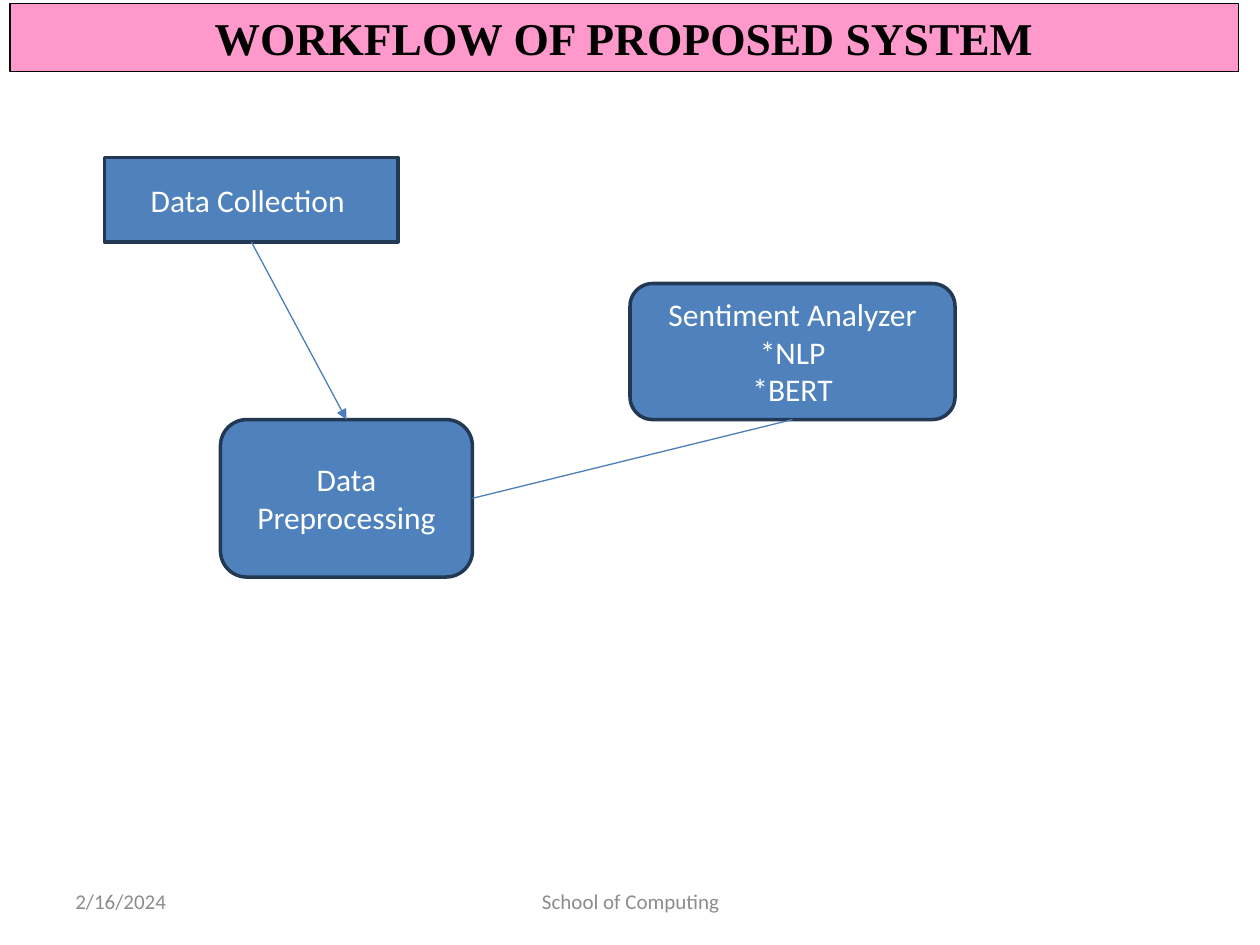
from dataclasses import dataclass

from lxml.etree import SubElement
from pptx import Presentation
from pptx.dml.color import RGBColor
from pptx.enum.shapes import MSO_CONNECTOR, MSO_SHAPE
from pptx.enum.text import MSO_ANCHOR, PP_ALIGN
from pptx.oxml.ns import qn
from pptx.util import Inches, Pt

COLORS = {
    "banner": "FF99CC",
    "black": "000000",
    "white": "FFFFFF",
    "box": "4F81BD",
    "border": "233953",
    "arrow": "4B7EBC",
    "footer": "8C8C8C",
}

# Connection sites of a rectangle
TOP, BOTTOM, RIGHT = 0, 2, 3


@dataclass
class Step:
    text: str
    left: float
    top: float
    width: float
    height: float
    kind: MSO_SHAPE = MSO_SHAPE.ROUNDED_RECTANGLE


@dataclass
class Footer:
    text: str
    left: float
    width: float
    align: PP_ALIGN


def rgb(name: str) -> RGBColor:
    return RGBColor.from_string(COLORS[name])


def paint(s, fill: str, line: str, width: float) -> None:
    s.fill.solid()
    s.fill.fore_color.rgb = rgb(fill)
    s.line.color.rgb = rgb(line)
    s.line.width = Pt(width)


def write(s, text: str, size: float, color: str, align=PP_ALIGN.CENTER,
          anchor=MSO_ANCHOR.MIDDLE, font="Calibri", bold=False) -> None:
    tf = s.text_frame
    tf.text = text
    tf.word_wrap = True
    tf.vertical_anchor = anchor
    for p in tf.paragraphs:
        p.alignment = align
        for r in p.runs:
            r.font.name = font
            r.font.size = Pt(size)
            r.font.bold = bold
            r.font.color.rgb = rgb(color)


def add_step(slide, step: Step):
    s = slide.shapes.add_shape(step.kind, Inches(step.left), Inches(step.top),
                               Inches(step.width), Inches(step.height))
    s.shadow.inherit = False
    paint(s, "box", "border", 2)
    write(s, step.text, 18, "white")
    return s


def add_link(slide, start, start_site: int, end, end_site: int, arrow=False) -> None:
    c = slide.shapes.add_connector(MSO_CONNECTOR.STRAIGHT, 0, 0, 0, 0)
    c.begin_connect(start, start_site)
    c.end_connect(end, end_site)
    c.line.color.rgb = rgb("arrow")
    c.line.width = Pt(0.75)
    if arrow:
        SubElement(c.line._get_or_add_ln(), qn("a:tailEnd"), type="triangle")
    SubElement(c._element.spPr, qn("a:effectLst"))


def main() -> None:
    prs = Presentation()
    prs.slide_width, prs.slide_height = Inches(10), Inches(7.5)
    slide = prs.slides.add_slide(prs.slide_layouts[5])

    # Footer
    for f in (Footer("2/16/2024", 0.5, 2.33, PP_ALIGN.LEFT),
              Footer("School of Computing", 3.42, 3.17, PP_ALIGN.CENTER)):
        s = slide.shapes.add_textbox(Inches(f.left), Inches(6.95),
                                     Inches(f.width), Inches(0.4))
        write(s, f.text, 12, "footer", f.align)

    # Title banner
    title = slide.shapes.title
    title.left, title.top = Inches(0.08), Inches(0.03)
    title.width, title.height = Inches(9.75), Inches(0.54)
    paint(title, "banner", "black", 0.75)
    write(title, "WORKFLOW OF PROPOSED SYSTEM", 26, "black",
          anchor=MSO_ANCHOR.TOP, font="Times New Roman", bold=True)

    # Workflow steps
    collection = add_step(slide, Step("Data Collection ", 0.83, 1.25, 2.33, 0.67,
                                      MSO_SHAPE.RECTANGLE))
    preprocessing = add_step(slide, Step("Data Preprocessing", 1.75, 3.33, 2, 1.25))
    analyzer = add_step(slide, Step("Sentiment Analyzer\n*NLP\n*BERT",
                                    5, 2.25, 2.58, 1.08))

    # Links between steps
    add_link(slide, collection, BOTTOM, preprocessing, TOP, arrow=True)
    add_link(slide, preprocessing, RIGHT, analyzer, BOTTOM)

    prs.save("out.pptx")


if __name__ == "__main__":
    main()
